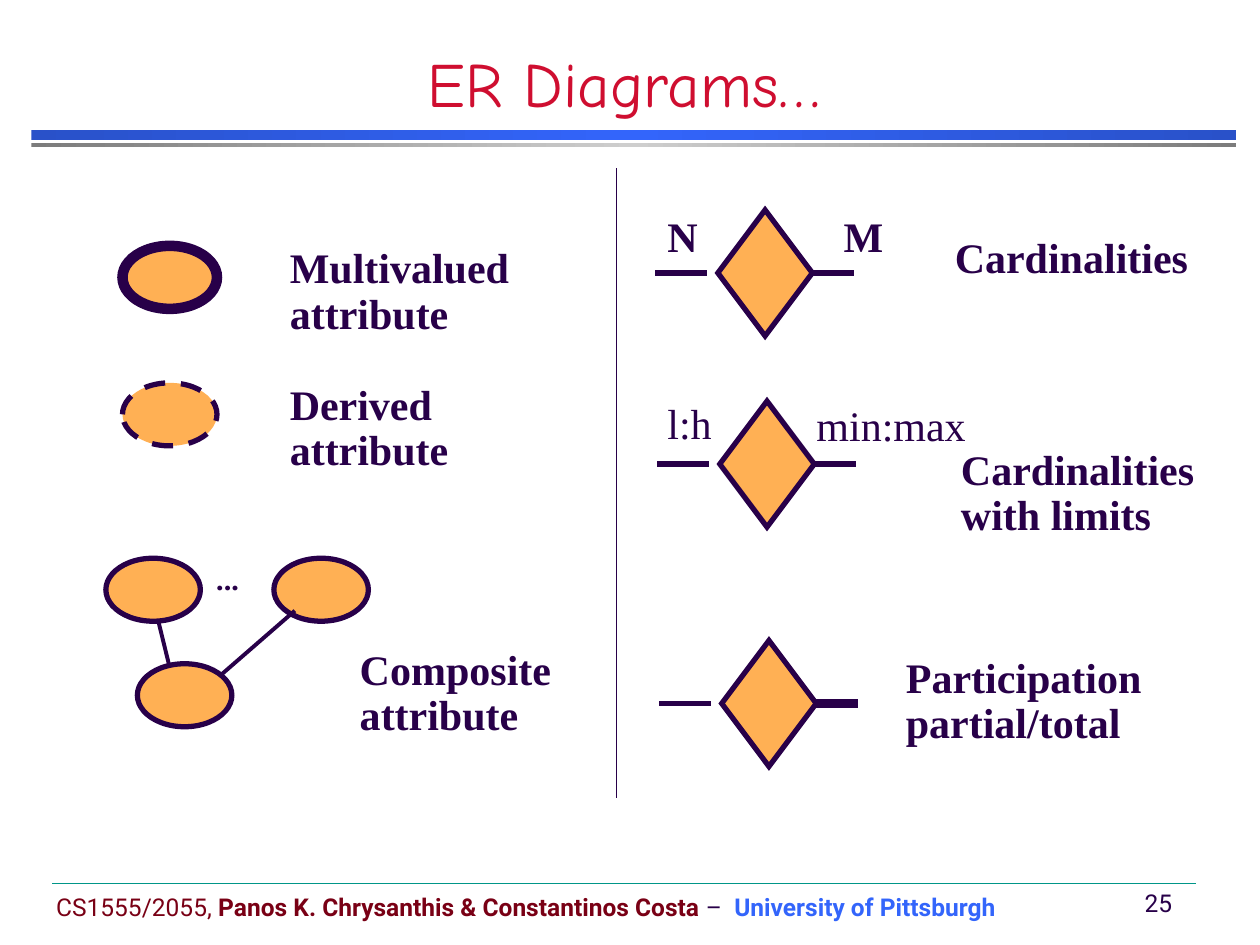
from copy import deepcopy

from lxml.etree import SubElement
from pptx import Presentation
from pptx.dml.color import RGBColor
from pptx.enum.dml import MSO_LINE
from pptx.enum.shapes import MSO_CONNECTOR, MSO_SHAPE
from pptx.enum.text import MSO_ANCHOR, PP_ALIGN
from pptx.oxml.ns import qn
from pptx.util import Pt

INK = RGBColor(0x28, 0x00, 0x49)
ORANGE = RGBColor(0xFF, 0xB0, 0x54)
RED = RGBColor(0xCF, 0x0E, 0x30)
MAROON = RGBColor(0x79, 0x00, 0x15)
BLUE = RGBColor(0x33, 0x65, 0xFB)
DARK_BLUE = RGBColor(0x29, 0x51, 0xC9)
GRAY = RGBColor(0x7C, 0x7C, 0x7C)
LIGHT_GRAY = RGBColor(0xCE, 0xCE, 0xCE)
TEAL = RGBColor(0x00, 0x96, 0x88)

SERIF, SANS = "Times New Roman", "Roboto"
NODE_WIDTH, ELLIPSE_HEIGHT, DIAMOND_HEIGHT = 54, 36, 72
RIGHT_SIDE = 3


class DiagramSlide:
    def __init__(self, slide):
        self.shapes = slide.shapes

    def node(self, kind, left, top, height, line_width=3, dash=None):
        shape = self.shapes.add_shape(kind, Pt(left), Pt(top), Pt(NODE_WIDTH), Pt(height))
        shape.shadow.inherit = False
        shape.fill.solid()
        shape.fill.fore_color.rgb = ORANGE
        shape.line.color.rgb = INK
        shape.line.width = Pt(line_width)
        if dash is not None:
            shape.line.dash_style = dash
        outline = shape._element.spPr.find(qn("a:ln"))
        SubElement(outline, qn("a:miter"), lim="800000")
        return shape

    def ellipse(self, left, top, line_width=3, dash=None):
        return self.node(MSO_SHAPE.OVAL, left, top, ELLIPSE_HEIGHT, line_width, dash)

    def line(self, start, end, width=3, color=INK):
        connector = self.shapes.add_connector(
            MSO_CONNECTOR.STRAIGHT, *(Pt(value) for value in (*start, *end)))
        connector.line.color.rgb = color
        connector.line.width = Pt(width)
        SubElement(connector._element.spPr, qn("a:effectLst"))
        return connector

    def relationship(self, left, top, right_line_width=3):
        """Draw a diamond with a detached line on the left and a joined one on the right."""
        diamond = self.node(MSO_SHAPE.DIAMOND, left, top, DIAMOND_HEIGHT)
        middle, right = top + DIAMOND_HEIGHT / 2, left + NODE_WIDTH
        self.line((left - 6.3, middle), (left - 36, middle))
        joined = self.line((right, middle), (right + 24, middle), right_line_width)
        joined.begin_connect(diamond, RIGHT_SIDE)

    def gradient_bar(self, top, height, edge_color, center_color):
        bar = self.shapes.add_shape(MSO_SHAPE.RECTANGLE, Pt(18), Pt(top), Pt(688.3), Pt(height))
        bar.shadow.inherit = False
        bar.line.fill.background()
        bar.fill.gradient()
        bar.fill.gradient_angle = 0
        stop_list = bar._element.find(".//" + qn("a:gsLst"))
        stop_list.append(deepcopy(stop_list[-1]))
        stops = zip(bar.fill.gradient_stops, (0, 0.5, 1), (edge_color, center_color, edge_color))
        for stop, position, color in stops:
            stop.position = position
            stop.color.rgb = color

    def text(self, box, runs, size, font, align=PP_ALIGN.LEFT, anchor=MSO_ANCHOR.TOP,
             line_spacing=1.0):
        """Place one paragraph; each run is (wording, color, bold)."""
        frame = self.shapes.add_textbox(*(Pt(value) for value in box)).text_frame
        frame.word_wrap = False
        frame.vertical_anchor = anchor
        paragraph = frame.paragraphs[0]
        paragraph.alignment = align
        paragraph.line_spacing = line_spacing
        for wording, color, bold in runs:
            for index, line in enumerate(wording.splitlines()):
                if index:
                    paragraph.add_line_break()
                run = paragraph.add_run()
                run.text = line
                run.font.size = Pt(size)
                run.font.name = font
                run.font.bold = bold
                run.font.color.rgb = color

    def label(self, left, top, width, wording, bold=True, font=SERIF):
        height = 36 if len(wording.splitlines()) == 1 else 65
        self.text((left, top, width, height), [(wording, INK, bold)], 24, font, line_spacing=0.9)


def add_frame(page):
    page.gradient_bar(74.2, 5.8, DARK_BLUE, BLUE)
    page.gradient_bar(82, 2.2, GRAY, LIGHT_GRAY)
    page.text((0, 30, 713, 42), [("ER Diagrams…", RED, False)], 36, "Comic Neue",
              PP_ALIGN.CENTER, MSO_ANCHOR.BOTTOM)
    page.text((25, 506, 584, 24), [
        ("CS1555/2055, ", MAROON, False),
        ("Panos K. Chrysanthis & Constantinos Costa", MAROON, True),
        (" – ", INK, False),
        (" University of Pittsburgh", BLUE, True),
    ], 14, SANS, anchor=MSO_ANCHOR.MIDDLE)
    page.text((644.5, 504, 35, 24), [("25", INK, False)], 14, SANS,
              PP_ALIGN.CENTER, MSO_ANCHOR.MIDDLE)
    page.line((30, 504.7), (683.3, 504.7), 0.25, TEAL)
    page.line((352.3, 456), (352.3, 96), 1)


def add_attributes(page):
    page.ellipse(70, 140.5, line_width=6)
    page.label(158.5, 138, 140, "Multivalued\nattribute")
    page.ellipse(70, 218.8, dash=MSO_LINE.DASH)
    page.label(158.5, 216, 105, "Derived\nattribute")

    for left, top in ((78.5, 379.3), (60.5, 319), (156.5, 319)):
        page.ellipse(left, top)
    page.line((96.5, 379.5), (90.5, 355), 2.25)
    page.line((126.5, 385.5), (168.5, 349), 2.25)
    page.label(116.5, 313, 34, "…", bold=False, font="Karla")
    page.label(198.5, 367.3, 124, "Composite\nattribute")


def add_relationships(page):
    page.relationship(410.2, 120)
    page.label(374.3, 120, 32, "N")
    page.label(475, 120, 37, "M")
    page.label(538.5, 132, 148, "Cardinalities")

    page.relationship(411.3, 229.2)
    page.label(374.3, 226.7, 40, "l:h", bold=False)
    page.label(459.5, 228.2, 100, "min:max", bold=False)
    page.label(542, 253, 148, "Cardinalities\nwith limits")

    page.relationship(412.4, 366, right_line_width=5)
    page.label(510.6, 372, 149, "Participation\npartial/total")


def main():
    presentation = Presentation()
    presentation.slide_width, presentation.slide_height = Pt(720), Pt(540)
    page = DiagramSlide(presentation.slides.add_slide(presentation.slide_layouts[6]))
    add_frame(page)
    add_attributes(page)
    add_relationships(page)
    presentation.save("out.pptx")


if __name__ == "__main__":
    main()
